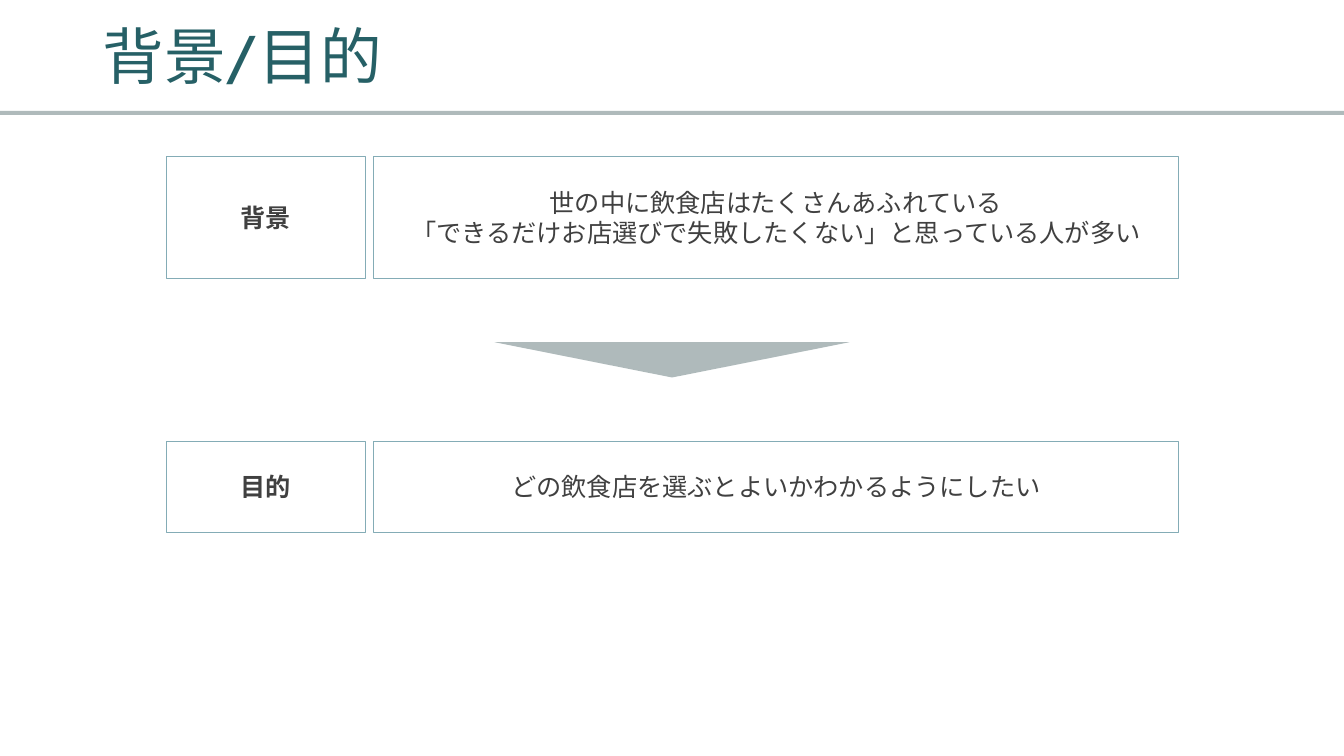
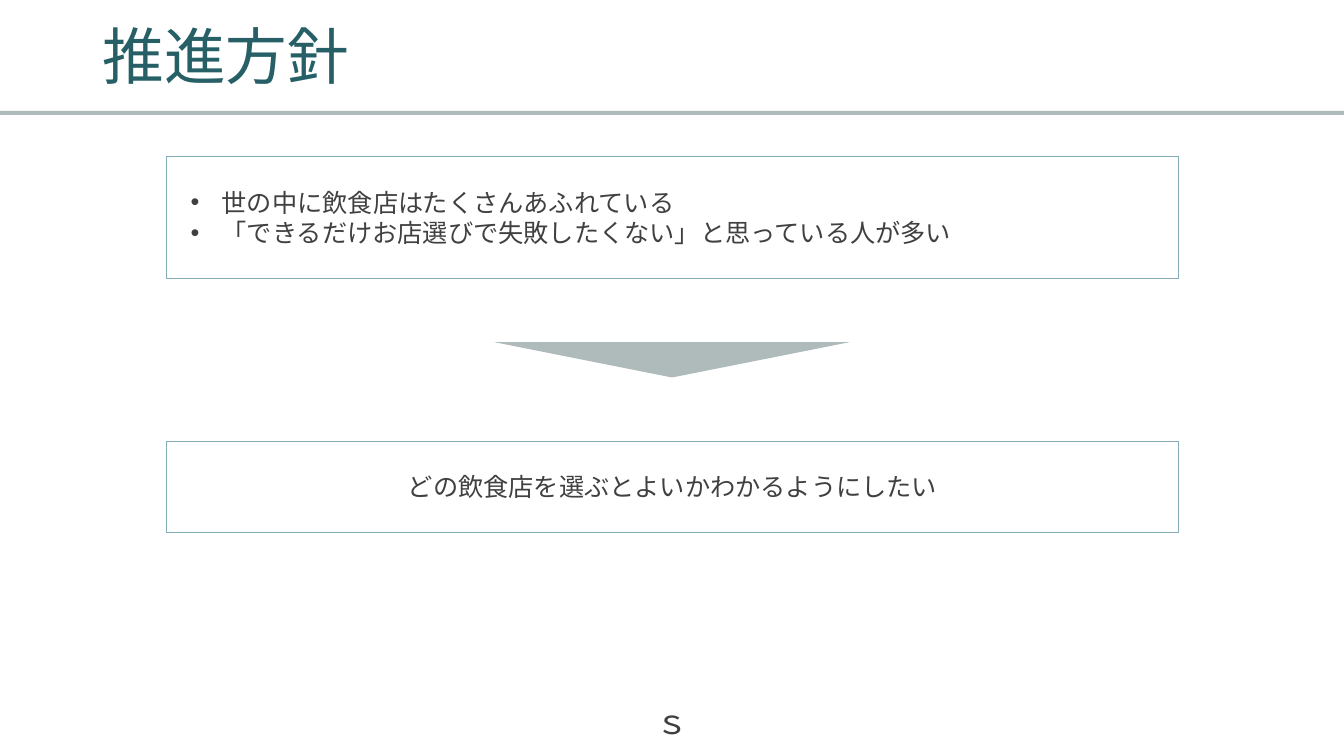
from lxml import etree
from pptx import Presentation
from pptx.dml.color import RGBColor
from pptx.enum.lang import MSO_LANGUAGE_ID
from pptx.enum.shapes import MSO_SHAPE
from pptx.enum.text import MSO_ANCHOR, PP_ALIGN
from pptx.oxml.ns import qn
from pptx.util import Inches, Pt

RECTANGLE, TRIANGLE = MSO_SHAPE.RECTANGLE, MSO_SHAPE.ISOSCELES_TRIANGLE
LEFT, CENTER = PP_ALIGN.LEFT, PP_ALIGN.CENTER
TOP, MIDDLE = MSO_ANCHOR.TOP, MSO_ANCHOR.MIDDLE
JAPANESE = MSO_LANGUAGE_ID.JAPANESE

TEAL = RGBColor(0x26, 0x60, 0x66)
GRAY = RGBColor(0xAF, 0xBA, 0xBB)
BORDER = RGBColor(0x84, 0xAC, 0xB6)
INK = RGBColor(0x40, 0x40, 0x40)
WHITE = RGBColor(0xFF, 0xFF, 0xFF)
FONT = "Cabin"

# Slide and content grid, in inches
SLIDE_W, SLIDE_H = 13.33, 7.5
CONTENT_X, CONTENT_W = 1.65, 10.04
LABEL_W, GAP = 1.97, 0.08
UPPER_ROW = (1.55, 1.21)  # top, height
LOWER_ROW = (4.38, 0.9)
ARROW_W, ARROW_H = 3.52, 0.35
FOOTER_H = 0.6
BULLET_INDENT = 0.31

SITUATION = ["世の中に飲食店はたくさんあふれている",
             "「できるだけお店選びで失敗したくない」と思っている人が多い"]
GOAL = ["どの飲食店を選ぶとよいかわかるようにしたい"]


def inches(box):
    return [Inches(value) for value in box]


def add_bullet(paragraph):
    properties = paragraph._p.get_or_add_pPr()
    properties.set("marL", str(Inches(BULLET_INDENT)))
    properties.set("indent", str(-Inches(BULLET_INDENT)))
    etree.SubElement(properties, qn("a:buFont")).set("typeface", "Arial")
    etree.SubElement(properties, qn("a:buChar")).set("char", "•")


def write(frame, lines, size, color=INK, align=CENTER, anchor=MIDDLE,
          bold=False, bullets=False, spacing=None):
    frame.word_wrap = True
    frame.vertical_anchor = anchor
    frame.text = "\n".join(lines)
    for paragraph in frame.paragraphs:
        paragraph.alignment = align
        paragraph.line_spacing = spacing
        if bullets:
            add_bullet(paragraph)
        for run in paragraph.runs:
            font = run.font
            font.name, font.size, font.bold = FONT, Pt(size), bold
            font.color.rgb = color
            font.language_id = JAPANESE
            east_asian = etree.SubElement(run._r.get_or_add_rPr(), qn("a:ea"))
            east_asian.set("typeface", FONT)


def add_solid(slide, kind, box, fill):
    shape = slide.shapes.add_shape(kind, *inches(box))
    shape.shadow.inherit = False
    shape.fill.solid()
    shape.fill.fore_color.rgb = fill
    shape.line.fill.background()
    return shape


def add_card(slide, box, lines, **style):
    card = add_solid(slide, RECTANGLE, box, WHITE)
    card.line.color.rgb = BORDER
    card.line.width = Pt(0.25)
    frame = card.text_frame
    frame.margin_left = frame.margin_right = Inches(0.24)
    frame.margin_top = frame.margin_bottom = Inches(0.08)
    write(frame, lines, 18, **style)


def add_row(slide, row, lines, label=None, **style):
    """A full-width card, or a label card with a text card beside it."""
    top, height = row
    shift = LABEL_W + GAP if label else 0
    add_card(slide, (CONTENT_X + shift, top, CONTENT_W - shift, height),
             lines, **style)
    if label:
        add_card(slide, (CONTENT_X, top, LABEL_W, height), [label], bold=True)


def add_arrow(slide):
    """A down arrow centred in the gap between the two rows."""
    middle = (sum(UPPER_ROW) + LOWER_ROW[0]) / 2
    arrow = add_solid(slide, TRIANGLE, ((SLIDE_W - ARROW_W) / 2,
                                        middle - ARROW_H / 2,
                                        ARROW_W, ARROW_H), GRAY)
    arrow.rotation = 180


def add_header(slide, title):
    add_solid(slide, RECTANGLE, (0, 1.1, SLIDE_W, 0.04), GRAY)
    heading = slide.shapes.add_textbox(*inches((0.92, 0.12, 11.5, 0.94)))
    write(heading.text_frame, [title], 44, TEAL, LEFT, spacing=0.9)


def add_footer(slide, text):
    footer = slide.shapes.add_textbox(
        *inches((0, SLIDE_H - FOOTER_H, SLIDE_W, FOOTER_H)))
    write(footer.text_frame, [text], 24, anchor=TOP)


def add_flow_slide(deck, title, labels=(None, None), align=CENTER,
                   bullets=False, footer=None):
    slide = deck.slides.add_slide(deck.slide_layouts[6])
    add_header(slide, title)
    if footer:
        add_footer(slide, footer)
    add_arrow(slide)
    add_row(slide, UPPER_ROW, SITUATION, labels[0], align=align, bullets=bullets)
    add_row(slide, LOWER_ROW, GOAL, labels[1])


def main():
    deck = Presentation()
    deck.slide_width, deck.slide_height = inches((SLIDE_W, SLIDE_H))
    add_flow_slide(deck, "背景/目的", labels=("背景", "目的"))
    add_flow_slide(deck, "推進方針", align=LEFT, bullets=True, footer="ｓ")
    deck.save("out.pptx")


if __name__ == "__main__":
    main()
